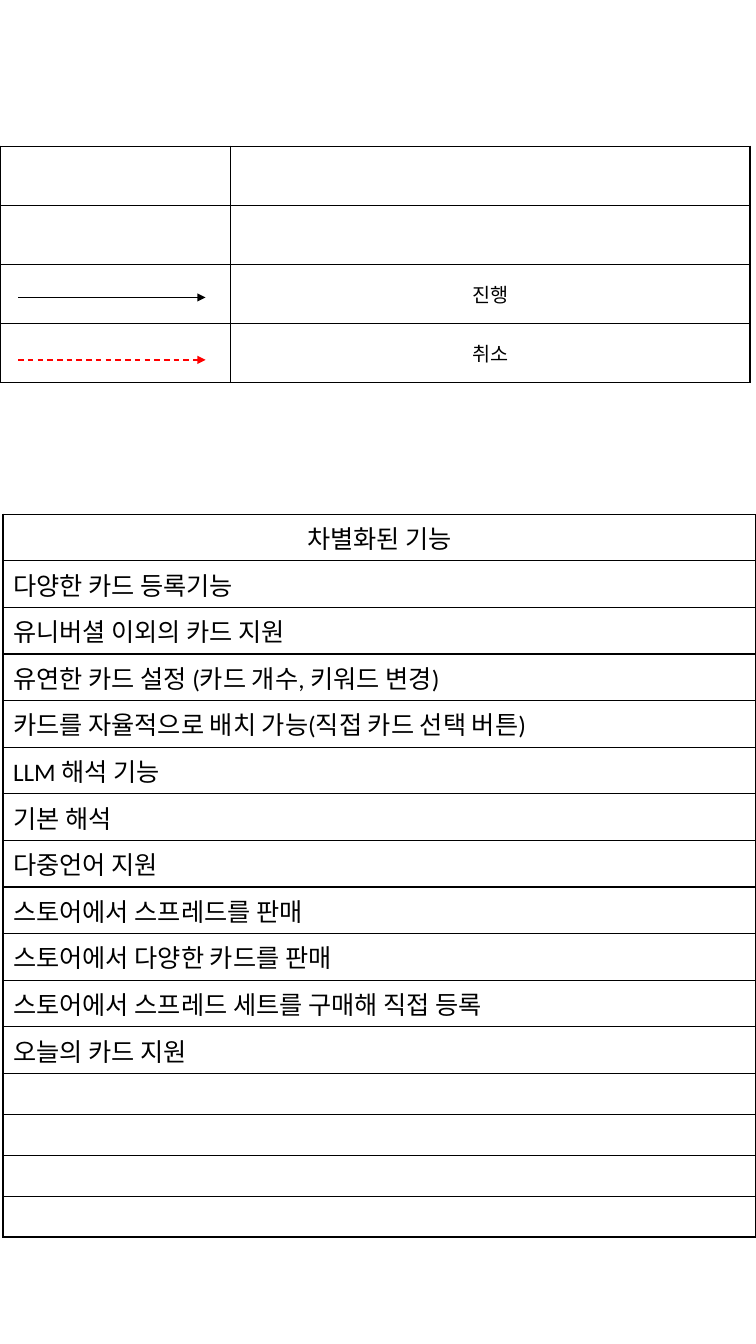
from dataclasses import dataclass
from lxml.etree import SubElement
from pptx import Presentation
from pptx.dml.color import RGBColor as Rgb
from pptx.enum.dml import MSO_LINE_DASH_STYLE as Dash
from pptx.enum.shapes import MSO_CONNECTOR as Connector
from pptx.enum.text import MSO_ANCHOR as Anchor, PP_ALIGN as Align
from pptx.oxml.ns import qn
from pptx.util import Inches, Pt


@dataclass(frozen=True)
class Theme:
    font: str = "Calibri"
    ink: str = "000000"
    cancel: str = "FF0000"
    legend_size: int = 14
    feature_size: int = 18
    line_width: int = 1


class Board:
    COLUMNS = 75
    ROWS = 133.3

    def __init__(self, deck, theme):
        self.theme = theme
        self.column = deck.slide_width / self.COLUMNS
        self.row = deck.slide_height / self.ROWS
        self.slide = deck.slides.add_slide(deck.slide_layouts[6])

    def x(self, columns):
        return round(columns * self.column)

    def y(self, rows):
        return round(rows * self.row)

    def border(self, cell):
        properties = cell._tc.get_or_add_tcPr()
        for position, side in enumerate(("lnL", "lnR", "lnT", "lnB")):
            edge = SubElement(properties, qn(f"a:{side}"), w=str(Pt(self.theme.line_width)))
            fill = SubElement(edge, qn("a:solidFill"))
            SubElement(fill, qn("a:srgbClr"), val=self.theme.ink)
            properties.insert(position, edge)

    def label(self, cell, text, size, align):
        cell.text = text
        paragraph = cell.text_frame.paragraphs[0]
        paragraph.alignment = align
        paragraph.font.name = self.theme.font
        paragraph.font.size = Pt(size)
        paragraph.font.color.rgb = Rgb.from_string(self.theme.ink)

    def table(self, left, top, widths, row_height, lines, size, aligns, inset=None):
        grid = self.slide.shapes.add_table(
            len(lines), len(widths), self.x(left), self.y(top),
            self.x(sum(widths)), self.y(row_height * len(lines))).table
        grid.first_row = grid.horz_banding = False
        for column, width in zip(grid.columns, widths):
            column.width = self.x(width)
        for row, texts, align in zip(grid.rows, lines, aligns):
            row.height = self.y(row_height)
            for cell, text in zip(row.cells, texts):
                cell.fill.background()
                self.border(cell)
                if inset:
                    cell.vertical_anchor = Anchor.MIDDLE
                    cell.margin_left = cell.margin_right = self.x(2 * inset)
                    cell.margin_top = cell.margin_bottom = self.y(inset)
                if text:
                    self.label(cell, text, size, align)

    def arrow(self, start, end, level, color, dash=None):
        link = self.slide.shapes.add_connector(
            Connector.STRAIGHT, self.x(start), self.y(level), self.x(end), self.y(level))
        link.line.color.rgb = Rgb.from_string(color)
        link.line.width = Pt(self.theme.line_width)
        if dash:
            link.line.dash_style = dash
        SubElement(link.line._get_or_add_ln(), qn("a:tailEnd"), type="triangle")
        SubElement(link._element.spPr, qn("a:effectLst"))


deck = Presentation()
deck.slide_width, deck.slide_height = Inches(7.5), Inches(13.33)
theme = Theme()
board = Board(deck, theme)

legend = ["", "", "진행", "취소"]
board.table(0, 14.5, [22.9, 51.5], 5.86, [("", meaning) for meaning in legend],
            theme.legend_size, [Align.CENTER] * len(legend), inset=0.7)
board.arrow(1.8, 20.4, 29.5, theme.ink)
board.arrow(1.8, 20.4, 35.7, theme.cancel, Dash.DASH)

features = [
    "다양한 카드 등록기능",
    "유니버셜 이외의 카드 지원",
    "유연한 카드 설정 (카드 개수, 키워드 변경)",
    "카드를 자율적으로 배치 가능(직접 카드 선택 버튼)",
    "LLM 해석 기능",
    "기본 해석",
    "다중언어 지원",
    "스토어에서 스프레드를 판매",
    "스토어에서 다양한 카드를 판매",
    "스토어에서 스프레드 세트를 구매해 직접 등록",
    "오늘의 카드 지원",
]
spare_rows = 4
feature_lines = [(text,) for text in ["차별화된 기능", *features, *[""] * spare_rows]]
feature_aligns = [Align.CENTER] + [Align.LEFT] * (len(feature_lines) - 1)
board.table(0.3, 51, [74.7], 4, feature_lines, theme.feature_size, feature_aligns)

deck.save("out.pptx")
